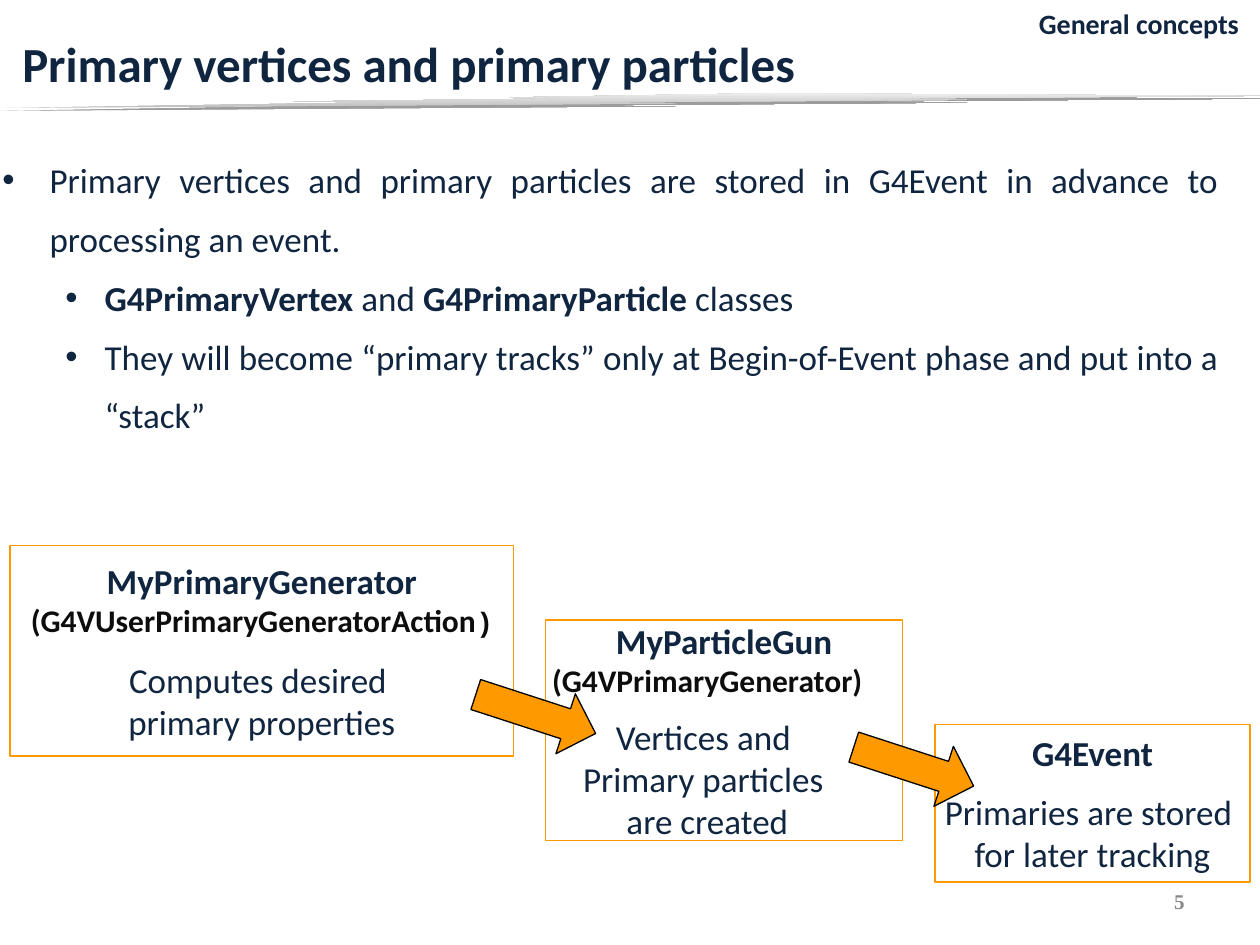
from lxml.etree import SubElement
from pptx import Presentation
from pptx.dml.color import RGBColor
from pptx.enum.shapes import MSO_SHAPE as Shape
from pptx.enum.text import MSO_ANCHOR as Anchor, PP_ALIGN as Align
from pptx.oxml import parse_xml
from pptx.oxml.ns import nsdecls, qn
from pptx.util import Cm, Pt

COLORS = {"navy": "10253F", "ink": "0D0D0D", "orange": "FF9900", "gray": "898989",
          "black": "000000", "white": "FFFFFF", "dark_end": "BCBCBC", "light_end": "EDEDED"}


def rgb(name):
    return RGBColor.from_string(COLORS[name])


def write(frame, *texts, size=20, bold=False, color="navy", font="Calibri",
          align=Align.LEFT, before=0, new=True):
    """Add runs to a new paragraph, or to the last one; bold may be one flag per run."""
    paragraph = frame.paragraphs[-1]
    if new:
        if paragraph.runs:
            paragraph = frame.add_paragraph()
        paragraph.alignment = align
        paragraph.space_before = Pt(before)
    flags = bold if isinstance(bold, tuple) else (bold,) * len(texts)
    for text, flag in zip(texts, flags):
        run = paragraph.add_run()
        run.text = text
        run.font.size, run.font.bold, run.font.name = Pt(size), flag, font
        run.font.color.rgb = rgb(color)
    return paragraph


deck = Presentation()
deck.slide_width, deck.slide_height = Cm(25.4), Cm(19.05)
slide = deck.slides.add_slide(deck.slide_layouts[6])
shapes = slide.shapes

# Title, section name and page number
headings = [
    ("Primary vertices and primary particles", (0.2, 0, 24.56, 2.54), Anchor.MIDDLE,
     dict(size=28)),
    ("General concepts", (20.68, 0, 4.55, 0.94), Anchor.TOP, dict(size=16, align=Align.RIGHT)),
    ("5", (18.21, 17.65, 5.92, 1.02), Anchor.MIDDLE,
     dict(size=12, color="gray", font="Times New Roman", align=Align.RIGHT)),
]
for text, place, anchor, style in headings:
    heading = shapes.add_textbox(*map(Cm, place)).text_frame
    heading.word_wrap = True
    heading.vertical_anchor = anchor
    write(heading, text, bold=True, **style)

# Bulleted explanation
body = shapes.add_textbox(Cm(-0.2), Cm(2.74), Cm(25.02), Cm(14.81)).text_frame
body.word_wrap = True
points = [
    (0, ("Primary vertices and primary particles are stored in G4Event in advance to "
         "processing an event.",), False),
    (1, ("G4PrimaryVertex", " and ", "G4PrimaryParticle", " classes"),
     (True, False, True, False)),
    (1, ("They will become “primary tracks” only at Begin-of-Event phase and put into "
         "a “stack”",), False),
]
for level, texts, bold in points:
    point = write(body, *texts, bold=bold, align=Align.JUSTIFY)
    point.level, point.line_spacing = level, 1.4
    margin, hang = [(0.95, 0.95), (2.06, 0.79)][level]
    props = point._p.get_or_add_pPr()
    props.set("marL", str(Cm(margin)))
    props.set("indent", str(-Cm(hang)))
    bullet_color = SubElement(props, qn("a:buClr"))
    SubElement(bullet_color, qn("a:srgbClr"), val=COLORS["navy"])
    SubElement(props, qn("a:buFont"), typeface="Arial")
    SubElement(props, qn("a:buChar"), char="•")

# Generator, gun and event boxes: name, base class, then what each does
stages = [
    ((0.2, 11, 10.16, 4.24), "MyPrimaryGenerator", "(G4VUserPrimaryGeneratorAction", 11,
     ["Computes desired ", "primary properties"]),
    ((11, 12.5, 7.2, 4.45), "MyParticleGun", "(G4VPrimaryGenerator)", 9.6,
     ["Vertices and ", "Primary particles ", "are created"]),
    ((18.85, 14.6, 6.35, 3.18), "G4Event", None, 9.6,
     ["Primaries are stored ", "for later tracking"]),
]
for place, name, base, gap, role in stages:
    box = shapes.add_shape(Shape.RECTANGLE, *map(Cm, place))
    box.shadow.inherit = False
    if base:
        box.fill.background()
    else:
        box.fill.solid()
        box.fill.fore_color.rgb = rgb("white")
    box.line.color.rgb, box.line.width = rgb("orange"), Pt(0.75)
    label = box.text_frame
    label.word_wrap = True
    label.margin_left = label.margin_right = 0
    label.vertical_anchor = Anchor.MIDDLE
    write(label, name, bold=True, align=Align.CENTER)
    if base:
        base_line = write(label, base, size=18, bold=True, color="ink", align=Align.CENTER)
        if base.endswith(")"):
            base_line._p.get_or_add_pPr().set("marR", str(Cm(0.68)))
        else:
            write(label, ")", size=16, bold=True, color="ink", font="Courier New", new=False)
    for row, text in enumerate(role):
        write(label, text, align=Align.CENTER, before=0 if row else gap)

# Arrows from stage to stage
for left, top in [(9.53, 13.76), (17.15, 14.82)]:
    arrow = shapes.add_shape(Shape.RIGHT_ARROW, Cm(left), Cm(top), Cm(2.54), Cm(1.27))
    arrow.shadow.inherit = False
    arrow.rotation = 18
    arrow.fill.solid()
    arrow.fill.fore_color.rgb = rgb("orange")
    arrow.line.color.rgb, arrow.line.width = rgb("black"), Pt(0.75)

# Flattened bolt as the rule under the title
rule = shapes.add_shape(Shape.LIGHTNING_BOLT, 0, Cm(1.88), Cm(25.4), Cm(0.3))
rule._element.spPr.find(qn("a:xfrm")).set("flipH", "1")
rule.line.fill.background()
rule.fill.gradient()
rule.fill.gradient_angle = 90
for stop, name, position in zip(rule.fill.gradient_stops, ("dark_end", "light_end"), (0, 1)):
    stop.color.rgb, stop.position = rgb(name), position
rule._element.spPr.append(parse_xml(
    f'<a:effectLst {nsdecls("a")}><a:outerShdw blurRad="0" dist="{Pt(1.6)}" dir="5400000" '
    f'rotWithShape="0"><a:srgbClr val="{COLORS["black"]}"><a:alpha val="38000"/></a:srgbClr>'
    '</a:outerShdw></a:effectLst>'))

deck.save("out.pptx")
